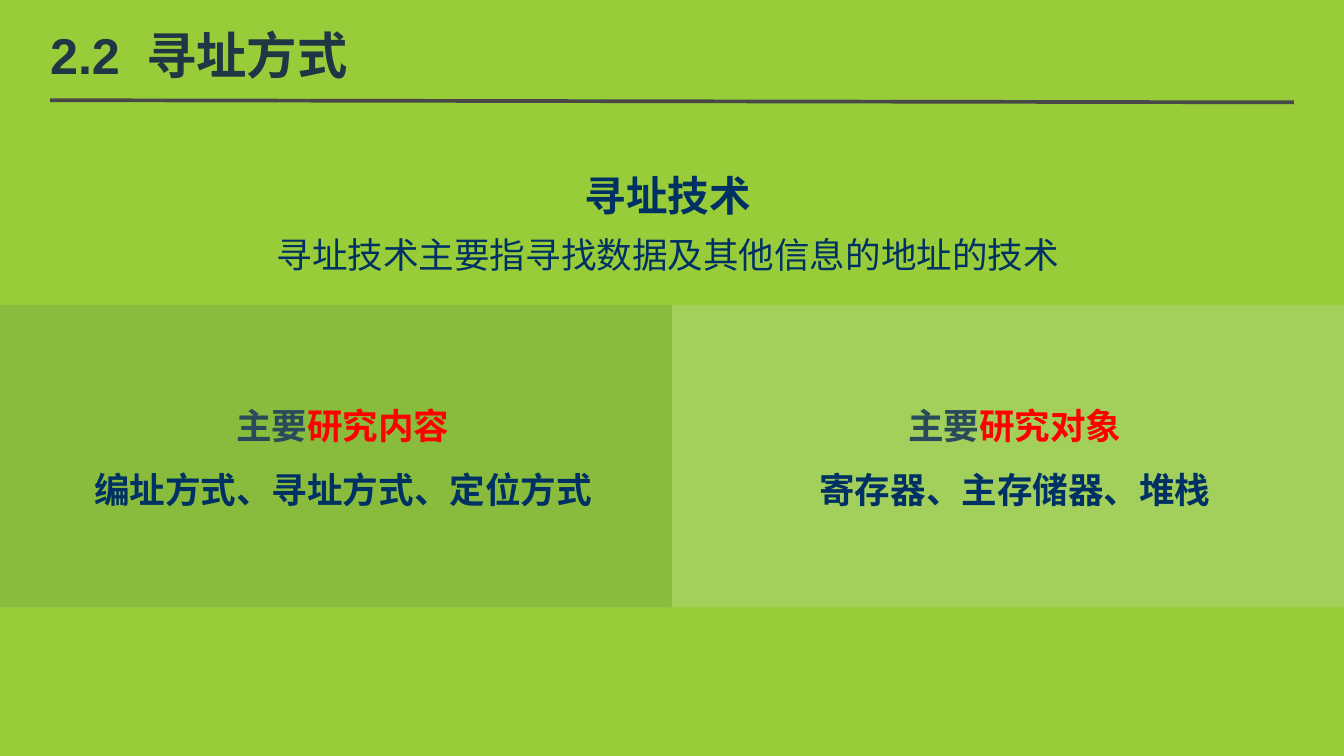
from lxml import etree
from pptx import Presentation
from pptx.dml.color import RGBColor
from pptx.enum.shapes import MSO_CONNECTOR, MSO_SHAPE
from pptx.enum.text import MSO_ANCHOR, PP_ALIGN
from pptx.oxml.ns import qn
from pptx.util import Inches, Pt

RECTANGLE = MSO_SHAPE.RECTANGLE
STRAIGHT = MSO_CONNECTOR.STRAIGHT
BOTTOM = MSO_ANCHOR.BOTTOM
CENTER = PP_ALIGN.CENTER
WIDTH, HEIGHT = 12.6, 7.09
MARGIN = 0.47
CJK = "Noto Sans CJK SC"
NAVY = "003164"
SLATE = "294A5A"
RED = "FF0000"
TOPICS = [
    ("研究内容", "编址方式、寻址方式、定位方式", NAVY, 10),
    ("研究对象", "寄存器、主存储器、堆栈", "CBDEE7", 20),
]


def paint(color_format, color):
    color_format.rgb = RGBColor.from_string(color)


def style(paragraph, size, color, bold=True, latin=CJK):
    font = paragraph.font
    font.size, font.bold, font.name = Pt(size), bold, latin
    font.fill.solid()
    paint(font.fill.fore_color, color)
    properties = paragraph._p.get_or_add_pPr()
    defaults = properties.find(qn("a:defRPr"))
    etree.SubElement(defaults, qn("a:ea"), typeface=CJK)
    return properties


def add_text_frame(slide, left, top, width, height):
    frame = slide.shapes.add_textbox(*map(Inches, (left, top, width, height))).text_frame
    frame.word_wrap = True
    return frame


def add_line(frame, texts, size, color, bold, spacing, first=False, indent=0):
    paragraph = frame.paragraphs[0] if first else frame.add_paragraph()
    paragraph.alignment, paragraph.line_spacing = CENTER, spacing
    for text in texts:
        paragraph.add_run().text = text
    properties = style(paragraph, size, color, bold)
    if indent:
        paragraph.level = 1
        properties.set("marL", str(Inches(indent)))
        properties.set("indent", "0")
    return paragraph


def add_header(slide, left, top, width, height):
    frame = add_text_frame(slide, left, top, width, height)
    frame.margin_left = frame.margin_top = frame.margin_right = frame.margin_bottom = 0
    frame.vertical_anchor = BOTTOM
    title = frame.paragraphs[0]
    title.text = "2.2\t寻址方式"
    properties = style(title, 34, "1F3744", latin="Arial")
    tabs = etree.Element(qn("a:tabLst"))
    etree.SubElement(tabs, qn("a:tab"), pos=str(Inches(0.9)), algn="l")
    properties.find(qn("a:defRPr")).addprevious(tabs)

    rule_top = top + height + 0.15
    rule = slide.shapes.add_connector(
        STRAIGHT, *map(Inches, (left, rule_top, left + width, rule_top + 0.02)))
    rule.line.width = Pt(2.5)
    rule.line.fill.solid()
    paint(rule.line.color, "484849")
    etree.SubElement(rule._element.spPr, qn("a:effectLst"))


def add_definition(slide, left, top, width, height):
    frame = add_text_frame(slide, left, top, width, height)
    add_line(frame, ["寻址技术"], 28, NAVY, True, 1.3, first=True)
    add_line(frame, ["寻址技术主要指寻找数据及其他信息的地址的技术"], 24, NAVY, False, 1.3)


def add_topic(slide, left, top, width, height, topic):
    subject, items, tint, opacity = topic
    panel = slide.shapes.add_shape(RECTANGLE, *map(Inches, (left, top, width, height)))
    panel.shadow.inherit = False
    panel.line.fill.background()
    panel.fill.solid()
    paint(panel.fill.fore_color, tint)
    tint_element = panel._element.spPr.find(qn("a:solidFill"))[0]
    etree.SubElement(tint_element, qn("a:alpha"), val=str(opacity * 1000))

    frame = add_text_frame(slide, left - 0.17, top + 0.68, width, 1.31)
    heading = add_line(frame, ["主要", subject], 24, SLATE, True, 1.5, first=True, indent=MARGIN)
    emphasis = heading.runs[1].font
    emphasis.fill.solid()
    paint(emphasis.fill.fore_color, RED)
    add_line(frame, [items], 24, NAVY, True, 1.5, indent=MARGIN)


def main():
    presentation = Presentation()
    presentation.slide_width, presentation.slide_height = Inches(WIDTH), Inches(HEIGHT)
    slide = presentation.slides.add_slide(presentation.slide_layouts[6])
    slide.background.fill.solid()
    paint(slide.background.fill.fore_color, "99CC39")

    add_header(slide, MARGIN, 0.16, WIDTH - 2 * MARGIN, 0.63)
    add_definition(slide, 0.79, 1.41, 10.94, 1.24)
    column = WIDTH / len(TOPICS)
    for index, topic in enumerate(TOPICS):
        add_topic(slide, index * column, 2.86, column, HEIGHT * 0.4, topic)
    presentation.save("out.pptx")


if __name__ == "__main__":
    main()
